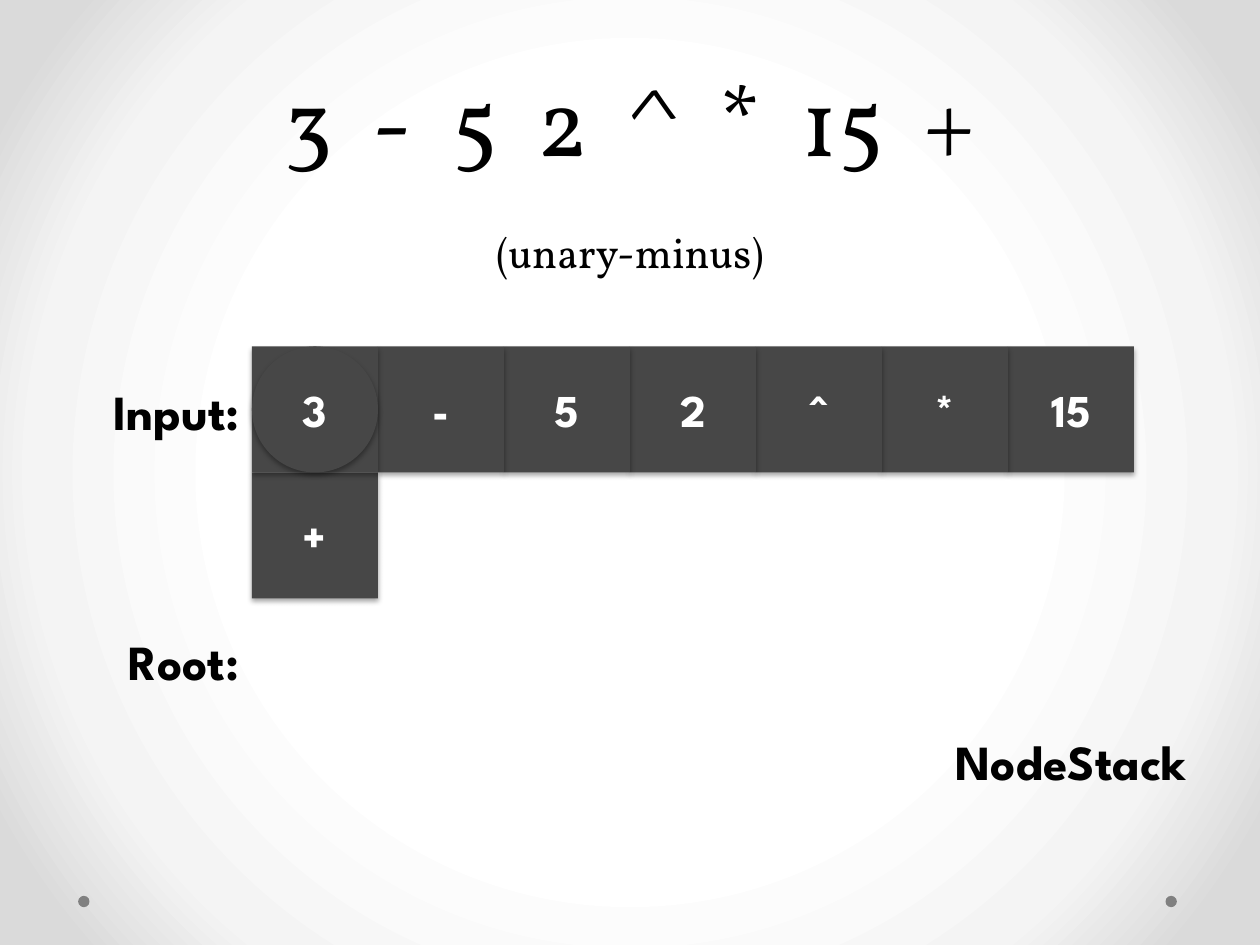
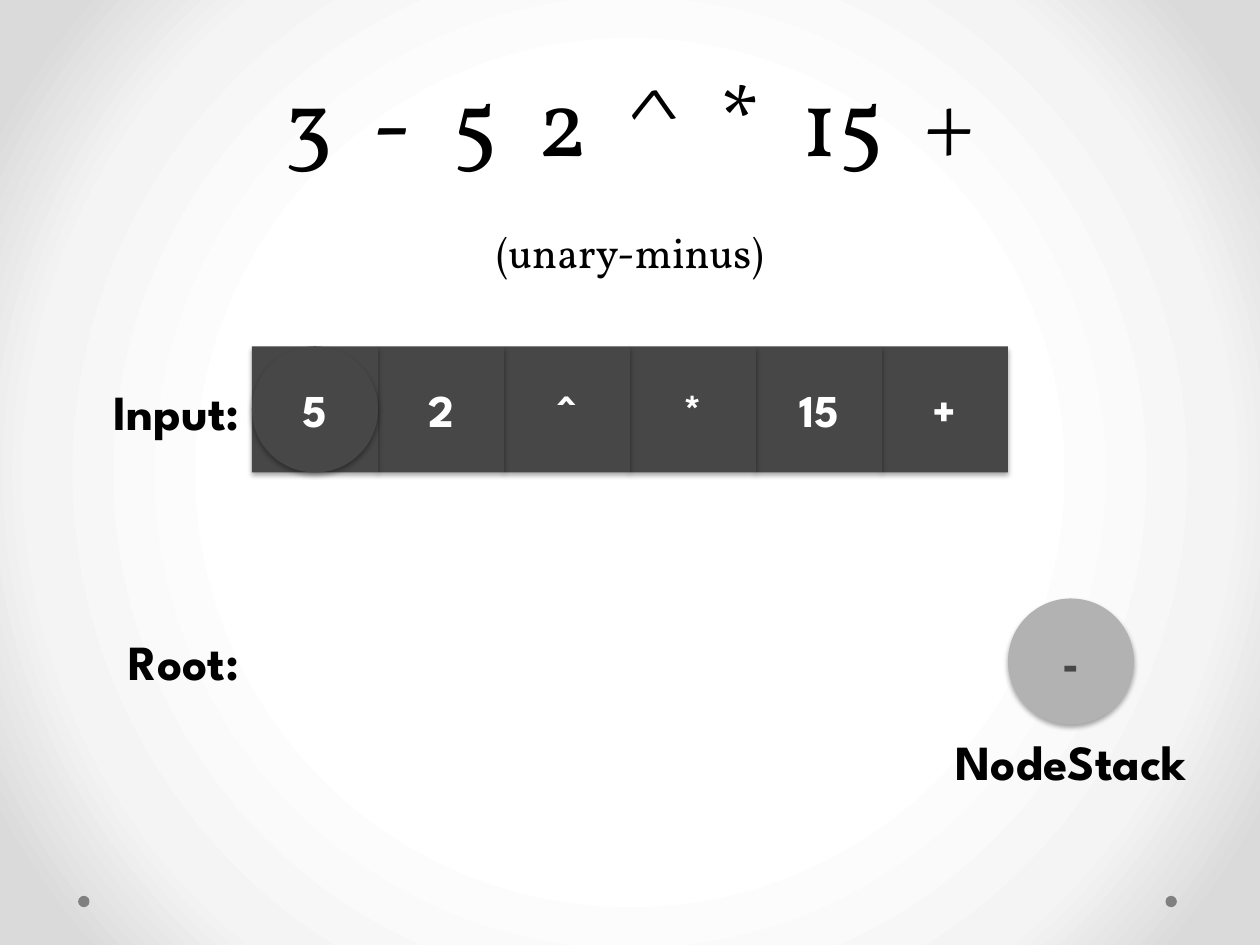
from pptx import Presentation, oxml
from pptx import util as u
from pptx.dml.color import RGBColor
from pptx.enum import shapes, text
from pptx.oxml.ns import nsdecls

COLORS = {"ink": "000000", "paper": "FFFFFF", "mist": "F4F4F4", "edge": "DADADA",
          "dot": "808080", "cell": "474747", "node": "B2B2B2"}
LABEL_FONT, TITLE_FONT = "League Spartan", "Vollkorn"
TOKENS = ["3", "-", "5", "2", "^", "*", "15", "+"]
INPUT_LEFT, INPUT_TOP, PER_ROW = 2, 2.75, 7
LABELS = [  # wording, left, top, width, height, alignment, anchor
    ("Input:", 0, 2.76, 2, 1, text.PP_ALIGN.RIGHT, text.MSO_ANCHOR.MIDDLE),
    ("Root:", 0, 4.96, 2, 0.57, text.PP_ALIGN.RIGHT, text.MSO_ANCHOR.MIDDLE),
    ("NodeStack", 7.25, 5.76, 2.5, 0.57, text.PP_ALIGN.CENTER, text.MSO_ANCHOR.TOP),
]
STEPS = [  # tokens still to read, nodes on the stack
    (TOKENS, []),
    (TOKENS[2:], ["-"]),
]
SHADOW = (f'<a:effectLst {nsdecls("a")}><a:outerShdw blurRad="39370" dist="22860" '
          'dir="5400000" rotWithShape="0"><a:srgbClr val="000000"><a:alpha val="35000"/>'
          '</a:srgbClr></a:outerShdw></a:effectLst>')


def add_span(para, wording, size, font, color, bold=False):
    span = para.add_run()
    span.text = wording
    span.font.size, span.font.name, span.font.bold = u.Pt(size), font, bold
    span.font.color.rgb = RGBColor.from_string(COLORS[color])
    return span


def add_token(page, kind, left, top, token, fill="cell", color="paper"):
    shape = page.shapes.add_shape(kind, u.Inches(left), u.Inches(top), u.Inches(1), u.Inches(1))
    shape.fill.solid()
    shape.fill.fore_color.rgb = RGBColor.from_string(COLORS[fill])
    shape.line.fill.background()
    shape.element.spPr.append(oxml.parse_xml(SHADOW))
    shape.text_frame.vertical_anchor = text.MSO_ANCHOR.MIDDLE
    para = shape.text_frame.paragraphs[0]
    para.alignment = text.PP_ALIGN.CENTER
    add_span(para, token, 26, LABEL_FONT, color, True)


deck = Presentation()
deck.slide_width, deck.slide_height = u.Inches(10), u.Inches(7.5)
master = deck.slide_master
title_only = deck.slide_layouts[5]

# Shared background: white centre fading to grey corners
master.background.fill.solid()
stops = "".join(f'<a:gs pos="{place * 1000}"><a:srgbClr val="{COLORS[name]}"/></a:gs>'
                for place, name in [(50, "paper"), (76, "mist"), (92, "edge")])
gradient = oxml.parse_xml(
    f'<a:gradFill {nsdecls("a")} rotWithShape="1"><a:gsLst>{stops}</a:gsLst><a:path path="circle">'
    '<a:fillToRect l="50000" t="50000" r="50000" b="50000"/></a:path></a:gradFill>')
solid = master.element.find(".//" + "{http://schemas.openxmlformats.org/presentationml/2006/main}bgPr")[0]
solid.getparent().replace(solid, gradient)

for number, (waiting, stack) in enumerate(STEPS):
    page = deck.slides.add_slide(title_only)

    # Footer dots, moved to the master once
    if number == 0:
        for left in (9.25, 0.62):
            dot = page.shapes.add_shape(shapes.MSO_SHAPE.OVAL, u.Inches(left), u.Inches(7.11),
                                        u.Inches(0.09), u.Inches(0.09))
            dot.shadow.inherit = False
            dot.fill.solid()
            dot.fill.fore_color.rgb = RGBColor.from_string(COLORS["dot"])
            dot.line.fill.background()
            master.element.cSld.spTree.append(dot.element)

    # Title: the expression with wide gaps, then the note
    title = page.shapes.title
    title.left, title.top = u.Inches(0.5), u.Inches(0.5)
    title.width, title.height = u.Inches(9), u.Inches(1.75)
    title.text_frame.vertical_anchor = text.MSO_ANCHOR.BOTTOM
    title.text_frame.auto_size = text.MSO_AUTO_SIZE.NONE
    para = title.text_frame.paragraphs[0]
    para.alignment, para.line_spacing = text.PP_ALIGN.CENTER, u.Pt(58)
    for place, token in enumerate(TOKENS):
        if place:
            gap = add_span(para, " ", 54, TITLE_FONT, "ink")
            gap.font._element.set("spc", "1200")
        add_span(para, token, 54, TITLE_FONT, "ink")
    para.add_line_break()
    add_span(para, "(unary-minus)", 24, TITLE_FONT, "ink")

    # Input cells, last one at the back
    for place, token in reversed(list(enumerate(waiting))):
        row, column = divmod(place, PER_ROW)
        add_token(page, shapes.MSO_SHAPE.RECTANGLE, INPUT_LEFT + column, INPUT_TOP + row, token)

    # Labels
    for wording, left, top, width, height, alignment, anchor in LABELS:
        box = page.shapes.add_textbox(u.Inches(left), u.Inches(top), u.Inches(width), u.Inches(height))
        box.text_frame.word_wrap = True
        box.text_frame.vertical_anchor = anchor
        para = box.text_frame.paragraphs[0]
        para.alignment = alignment
        add_span(para, wording, 28, LABEL_FONT, "ink", True)

    # Stacked nodes, and the node being read
    for level, token in enumerate(stack):
        add_token(page, shapes.MSO_SHAPE.OVAL, 8, 4.75 - level, token, "node", "cell")
    add_token(page, shapes.MSO_SHAPE.OVAL, INPUT_LEFT, INPUT_TOP, waiting[0])

deck.save("out.pptx")
